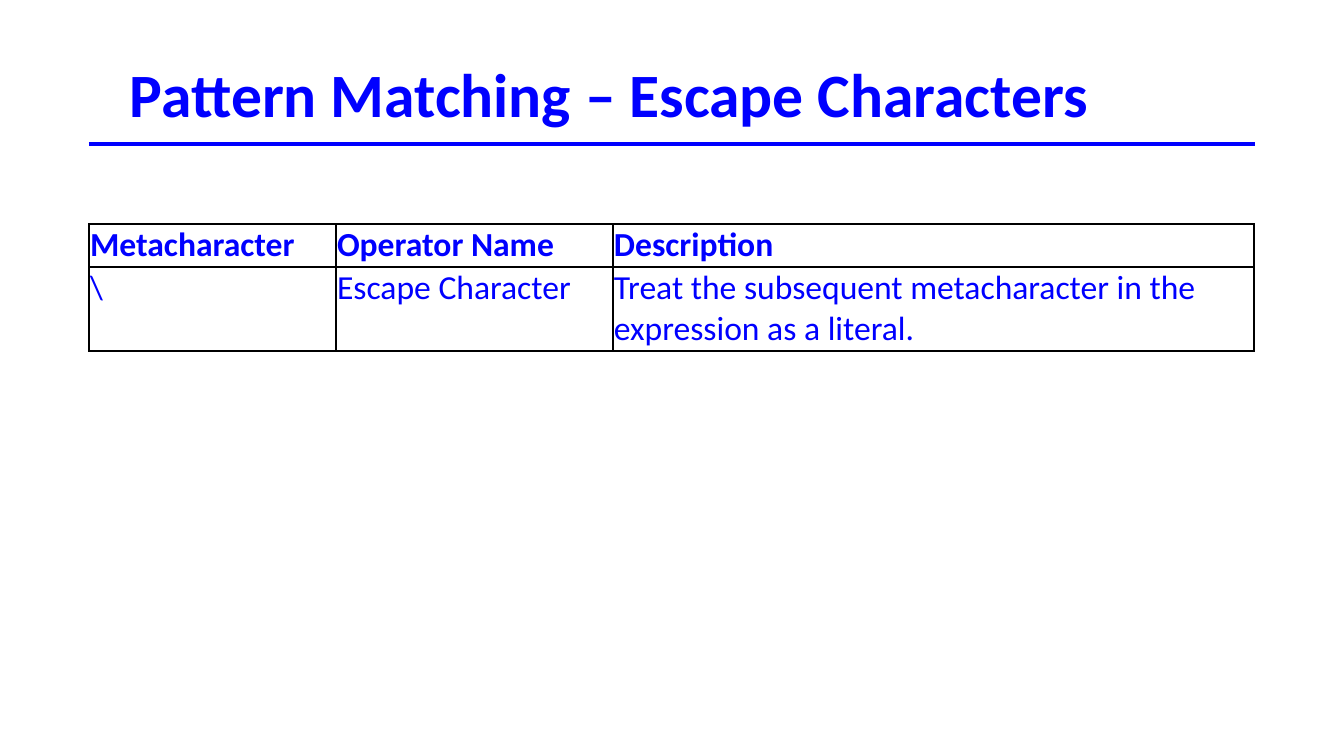
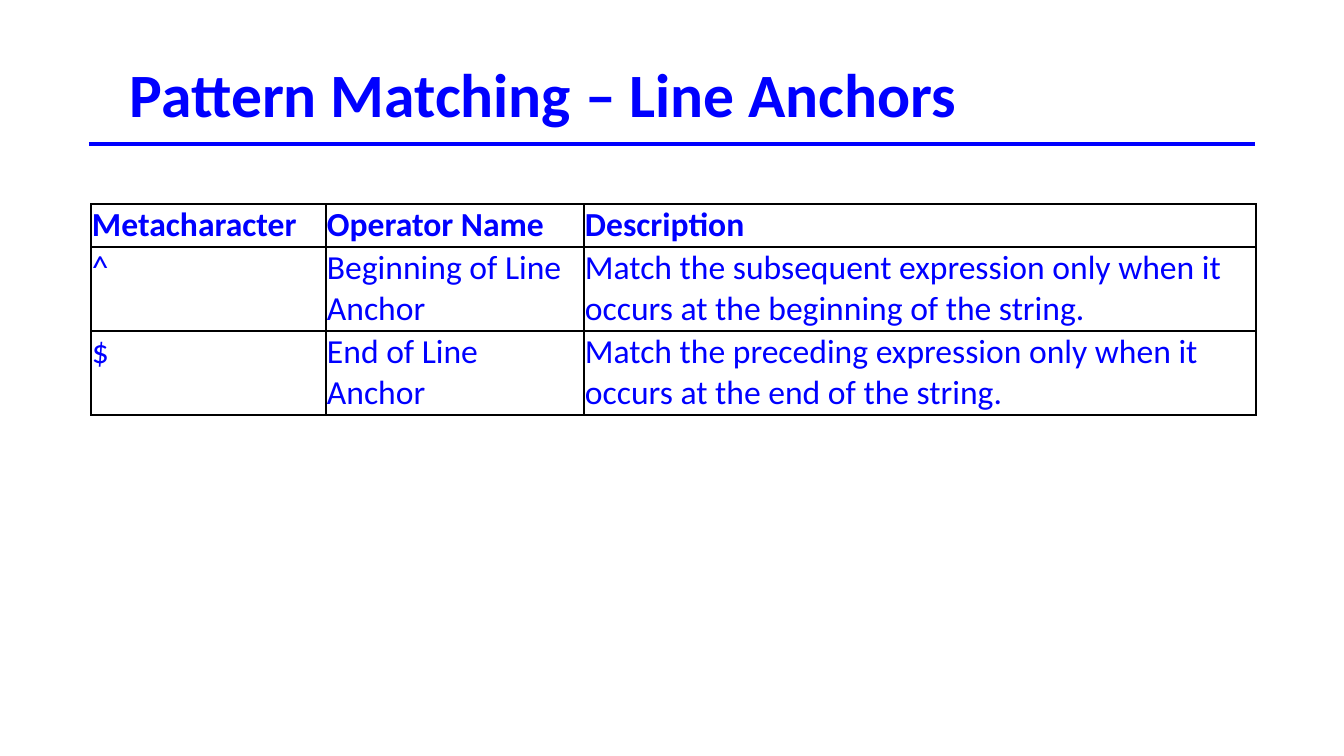
from pptx import Presentation
from pptx.dml.color import RGBColor
from pptx.enum import shapes, text
from pptx.oxml import parse_xml
from pptx.oxml.ns import nsdecls
from pptx.util import Emu, Pt

BLUE, WHITE, BLACK = "0000FF", "FFFFFF", "000000"
FONT = "Calibri"
HEADINGS = ("Metacharacter", "Operator Name", "Description")
SLIDES = [
    {
        "title": "Pattern Matching – Escape Characters",
        "corner": (89, 224),
        "columns": (247, 277, 641),
        "operators": [
            ("\\", "Escape Character",
             "Treat the subsequent metacharacter in the expression as a literal."),
        ],
    },
    {
        "title": "Pattern Matching – Line Anchors",
        "corner": (91, 204),
        "columns": (235, 258, 672),
        "operators": [
            ("^", "Beginning of Line Anchor",
             "Match the subsequent expression only when it occurs at the beginning of the string."),
            ("$", "End of Line Anchor",
             "Match the preceding expression only when it occurs at the end of the string."),
        ],
    },
]
TITLE_BOX = (120, 51, 1166, 78)
RULE = (89, 144, 1255, 144)
HEADING_HEIGHT, OPERATOR_HEIGHT = 43, 84
CELL_INSET = 1


def px(length):
    return Emu(round(length * 914400 / 100.8))


def color(value):
    return RGBColor.from_string(value)


def write(frame, wording, size, bold):
    run = frame.paragraphs[0].add_run()
    run.text = wording
    run.font.name = FONT
    run.font.size = Pt(size)
    run.font.bold = bold
    run.font.color.rgb = color(BLUE)


def add_heading(slide, wording):
    title = slide.shapes.add_textbox(*map(px, TITLE_BOX))
    title.fill.solid()
    title.fill.fore_color.rgb = color(WHITE)
    title.text_frame.word_wrap = True
    title.text_frame.vertical_anchor = text.MSO_ANCHOR.TOP
    write(title.text_frame, wording, 44, True)
    rule = slide.shapes.add_connector(shapes.MSO_CONNECTOR.STRAIGHT, *map(px, RULE))
    rule.line.color.rgb = color(BLUE)
    rule.line.width = Pt(3)
    rule._element.spPr.append(parse_xml(f"<a:effectLst {nsdecls('a')}/>"))


def style_cell(cell, is_heading):
    cell.margin_left = cell.margin_right = px(CELL_INSET)
    cell.margin_top = cell.margin_bottom = px(CELL_INSET)
    cell.vertical_anchor = text.MSO_ANCHOR.BOTTOM if is_heading else text.MSO_ANCHOR.TOP
    properties = cell._tc.get_or_add_tcPr()
    for side in ("lnL", "lnR", "lnT", "lnB"):
        properties.append(parse_xml(
            f'<a:{side} {nsdecls("a")} w="{Pt(1)}"><a:solidFill>'
            f'<a:srgbClr val="{BLACK}"/></a:solidFill></a:{side}>'))
    cell.fill.background()


def add_operators(slide, corner, columns, operators):
    rows = [HEADINGS, *operators]
    heights = [HEADING_HEIGHT] + [OPERATOR_HEIGHT] * len(operators)
    table = slide.shapes.add_table(
        len(rows), len(columns), *map(px, (*corner, sum(columns), sum(heights)))).table
    table.first_row = table.horz_banding = False
    for column, width in zip(table.columns, columns):
        column.width = px(width)
    for r, (wordings, height) in enumerate(zip(rows, heights)):
        table.rows[r].height = px(height)
        for c, wording in enumerate(wordings):
            cell = table.cell(r, c)
            style_cell(cell, r == 0)
            write(cell.text_frame, wording, 24, r == 0)


deck = Presentation()
deck.slide_width, deck.slide_height = px(1344), px(756)
for content in SLIDES:
    slide = deck.slides.add_slide(deck.slide_layouts[6])
    add_heading(slide, content["title"])
    add_operators(slide, content["corner"], content["columns"], content["operators"])
deck.save("out.pptx")
